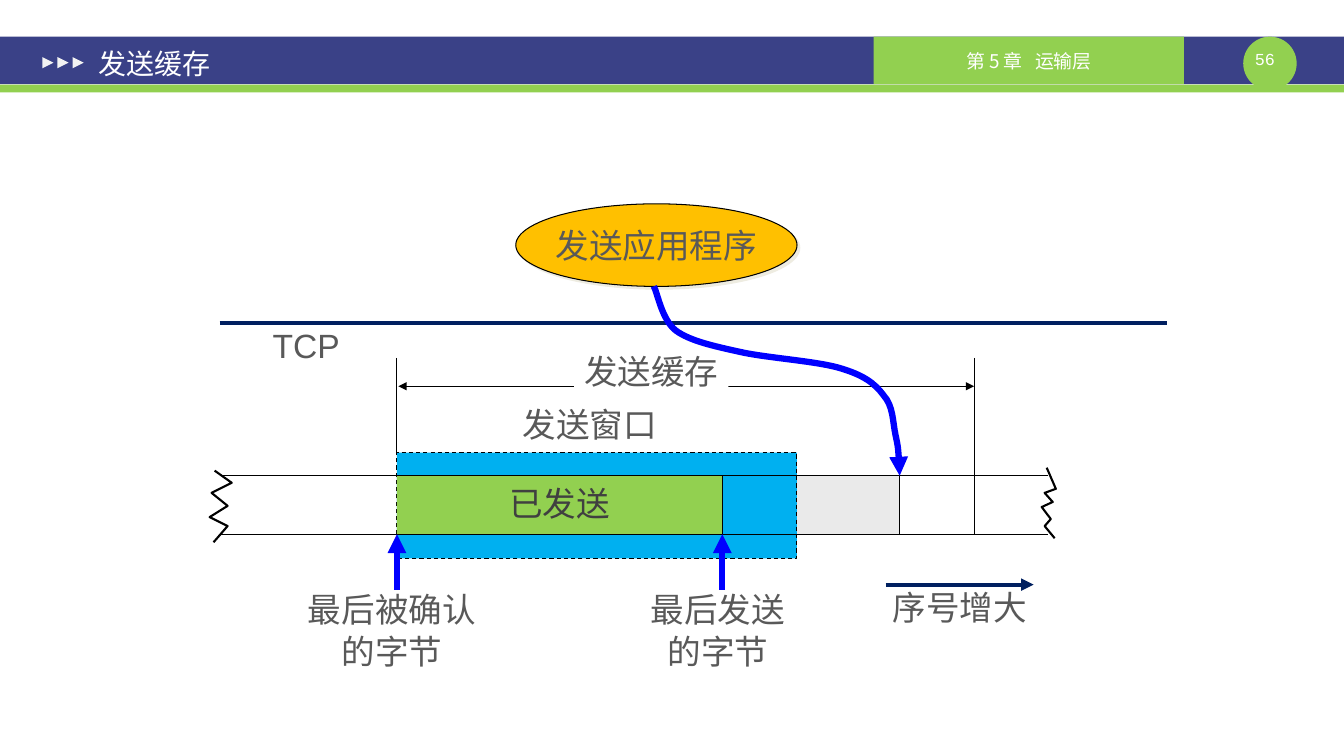
import pptx
import pptx.util
import pptx.dml.color
import pptx.enum.dml
import pptx.enum.shapes
import pptx.enum.text
import pptx.oxml
import pptx.oxml.ns
import lxml.etree

Pt = pptx.util.Pt
RGBColor = pptx.dml.color.RGBColor
SHAPE = pptx.enum.shapes.MSO_SHAPE
ALIGN = pptx.enum.text.PP_ALIGN
qn = pptx.oxml.ns.qn

COLORS = {
    "white": "FFFFFF", "black": "000000", "indigo": "3A4187", "green": "92D050",
    "pale": "F2F2F2", "gray": "EAEAEA", "amber": "FFC000", "cyan": "00B0F0",
    "navy": "002060", "blue": "0000FF", "text": "595959", "dark": "404040",
    "shadow": "EEECE1",
}

presentation = pptx.Presentation()
presentation.slide_width = Pt(960.5)
presentation.slide_height = Pt(540)
slide = presentation.slides.add_slide(presentation.slide_layouts[6])
shapes = slide.shapes


def add_box(kind, left, top, width, height, fill=None, text="", size=24,
            color="text", font="Arial", align=ALIGN.CENTER):
    box = tuple(Pt(length) for length in (left, top, width, height))
    if kind is None:
        shape = shapes.add_textbox(*box)
    else:
        shape = shapes.add_shape(kind, *box)
        shape.shadow.inherit = False
        shape.line.fill.background()
    if fill:
        shape.fill.solid()
        shape.fill.fore_color.rgb = RGBColor.from_string(COLORS[fill])
    if text:
        frame = shape.text_frame
        frame.text = text
        frame.word_wrap = False
        frame.vertical_anchor = pptx.enum.text.MSO_ANCHOR.MIDDLE
        for paragraph in frame.paragraphs:
            paragraph.alignment = align
            if len(frame.paragraphs) > 1:
                paragraph.line_spacing = Pt(29.3)
            for run in paragraph.runs:
                run.font.size = Pt(size)
                run.font.name = font
                run.font.color.rgb = RGBColor.from_string(COLORS[color])
    return shape


def style_line(shape, color="black", width=0.75, ends=()):
    shape.line.color.rgb = RGBColor.from_string(COLORS[color])
    shape.line.width = Pt(width)
    properties = shape._element.spPr
    if properties.find(qn("a:effectLst")) is None:
        lxml.etree.SubElement(properties, qn("a:effectLst"))
    for end in ends:
        lxml.etree.SubElement(properties.find(qn("a:ln")), qn(end), type="triangle")


add_box(SHAPE.RECTANGLE, 0, 26.2, 960.5, 34, "indigo")
add_box(SHAPE.RECTANGLE, 0, 60.4, 960.5, 5.6, "green")
add_box(SHAPE.OVAL, 888.5, 26.2, 38.2, 38.2, "green")
add_box(None, 888.5, 34.6, 38.2, 14.4, text="56 ", size=12, color="white", font="Courier New")
add_box(SHAPE.RECTANGLE, 624.3, 26.2, 221.8, 34, "green", "第 5 章   运输层", 13.5,
        "white", "Noto Sans CJK SC")
for index in range(3):
    marker = add_box(SHAPE.ISOSCELES_TRIANGLE, 30.2 + 10.8 * index, 40.8, 8, 8, "pale")
    marker.rotation = 90
title = add_box(None, 61.2, 28, 420, 34, text="发送缓存", size=20, color="white", align=ALIGN.LEFT)
title.text_frame.margin_left = Pt(9.4)

acked, sent, written, buffer_end = 283.7, 516.2, 643, 696.2
stream_top, stream_bottom = 339.8, 381.6
stream_height = stream_bottom - stream_top
both_ends = ("a:headEnd", "a:tailEnd")
one_end = ("a:tailEnd",)

add_box(SHAPE.RECTANGLE, sent, stream_top, written - sent, stream_height, "gray")
application = add_box(SHAPE.OVAL, 368.6, 145.6, 201, 59, "amber", "发送应用程序")
style_line(application)
effects = application._element.spPr.find(qn("a:effectLst"))
shadow = lxml.etree.SubElement(effects, qn("a:outerShdw"), dist=str(Pt(2.8)), dir="2700000", algn="ctr")
lxml.etree.SubElement(shadow, qn("a:srgbClr"), val=COLORS["shadow"])

window = add_box(SHAPE.RECTANGLE, acked, 323.3, 285.8, 75.6, "cyan")
style_line(window)
window.line.dash_style = pptx.enum.dml.MSO_LINE.DASH
add_box(SHAPE.RECTANGLE, acked, stream_top, sent - acked, stream_height, "green")

for x1, y1, x2, y2, color, width, ends in (
    (acked + 1, 275.9, buffer_end, 275.9, "black", 0.75, both_ends),
    (157, 230.6, 833.8, 230.6, "navy", 3, ()),
    (157, stream_top, 748.8, stream_top, "black", 0.75, ()),
    (157, stream_bottom, 748.8, stream_bottom, "black", 0.75, ()),
    (written, stream_top, written, stream_bottom, "black", 0.75, ()),
    (sent, stream_top, sent, stream_bottom, "black", 0.75, ()),
    (acked, 255.6, acked, 323.3, "black", 0.75, ()),
    (buffer_end, 255.6, buffer_end, stream_bottom, "black", 0.75, ()),
    (acked, 421.4, acked, stream_bottom, "blue", 4.5, one_end),
    (sent, 421.4, sent, stream_bottom, "blue", 4.5, one_end),
    (632.9, 417.6, 738.7, 417.6, "navy", 3, one_end),
):
    line = shapes.add_connector(pptx.enum.shapes.MSO_CONNECTOR.STRAIGHT,
                                Pt(x1), Pt(y1), Pt(x2), Pt(y2))
    style_line(line, color, width, ends)

for left, top, width, height, fill, text, color, font in (
    (410.4, 247, 110.2, 36, "white", "发送缓存", "text", "Arial"),
    (366.5, 285.1, 110.2, 36, None, "发送窗口", "text", "Arial"),
    (356.4, 341.3, 87.1, 36, None, "已发送", "dark", "Noto Sans CJK SC"),
    (212.4, 417, 135.4, 65.5, None, "最后被确认\n的字节", "text", "Arial"),
    (457.2, 417, 111.6, 65.5, None, "最后发送\n的字节", "text", "Arial"),
    (187.2, 228.2, 63.4, 36, None, "TCP", "text", "Arial"),
    (630.7, 415.4, 110.2, 36, None, "序号增大", "text", "Arial"),
):
    add_box(None, left, top, width, height, fill, text, color=color, font=font)

write_path = [
    (467.3, 204.5), (470.2, 210.2), (473, 228.2), (483.1, 236.2),
    (493.2, 243.4), (509, 247), (528.5, 251.3), (547.2, 255.6),
    (582.5, 257.8), (599.8, 262.8), (617, 267.8), (625, 273.6),
    (631.4, 282.2), (638.6, 290.2), (637.9, 301), (640.1, 311),
    (642.2, 320.4), (643, 334.1), (643, 339.8),
]
right_break = [(748.1, 334.1), (754.6, 349.2), (746.6, 352.1), (752.4, 358.6),
               (744.5, 362.2), (751, 370.8), (746.6, 375.8), (753.8, 384.5)]
left_break = [(153.4, 336.2), (165.6, 344.9), (151.2, 352.1), (162.7, 361.4),
              (149.8, 369.4), (162.7, 375.8), (152.6, 387.4)]
for points, color, width, ends in (
    (write_path, "blue", 4.5, one_end),
    (right_break, "black", 1.5, ()),
    (left_break, "black", 1.5, ()),
):
    corners = [(Pt(x), Pt(y)) for x, y in points]
    builder = shapes.build_freeform(*corners[0])
    builder.add_line_segments(corners[1:], close=False)
    outline = builder.convert_to_shape()
    outline.shadow.inherit = False
    outline.fill.background()
    style_line(outline, color, width, ends)
    if points is write_path:
        segments = list(outline._element.iter(qn("a:lnTo")))
        for start in range(0, len(segments), 3):
            curve = lxml.etree.Element(qn("a:cubicBezTo"))
            segments[start].addprevious(curve)
            for segment in segments[start:start + 3]:
                curve.append(segment[0])
                segment.getparent().remove(segment)

presentation.save("out.pptx")
